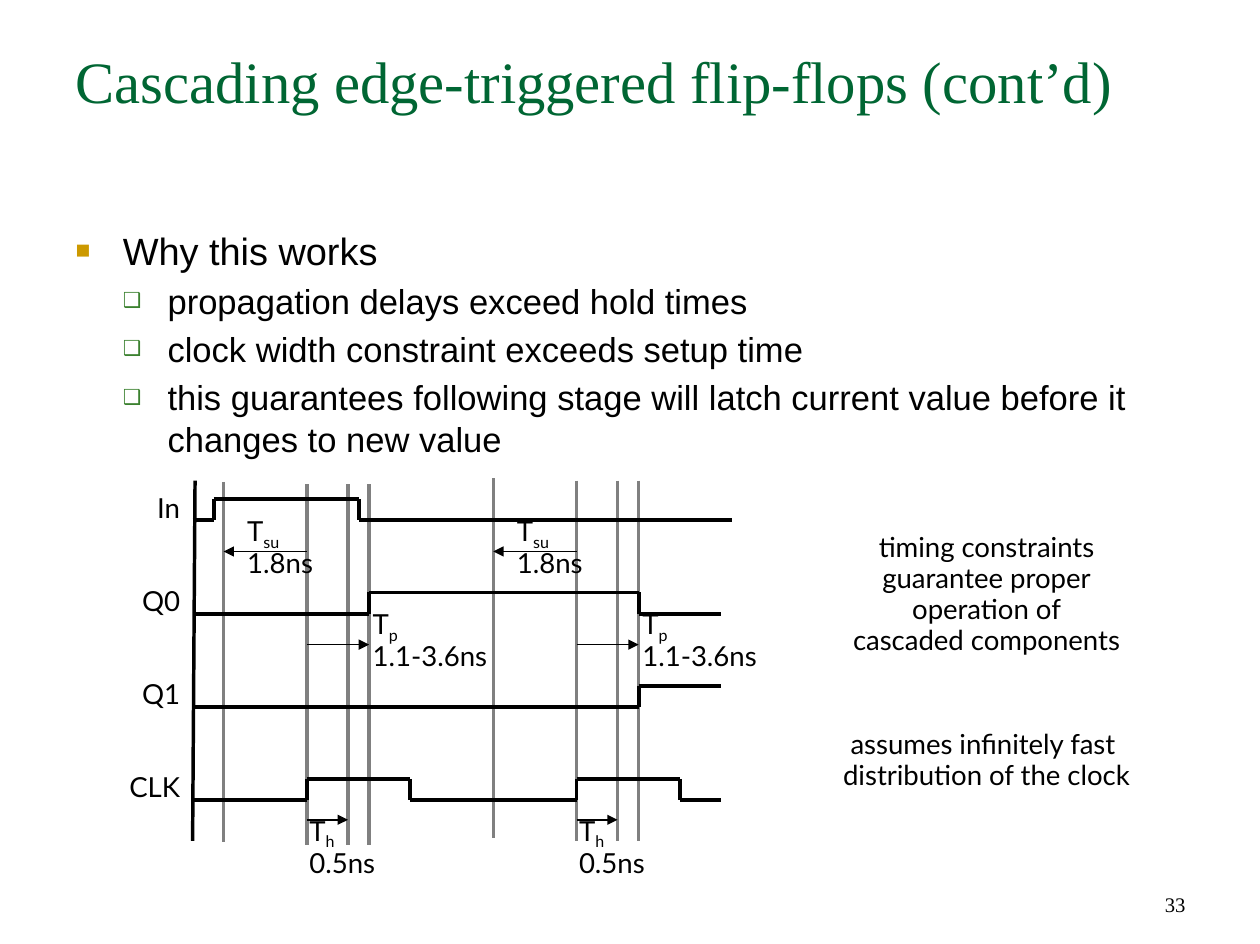
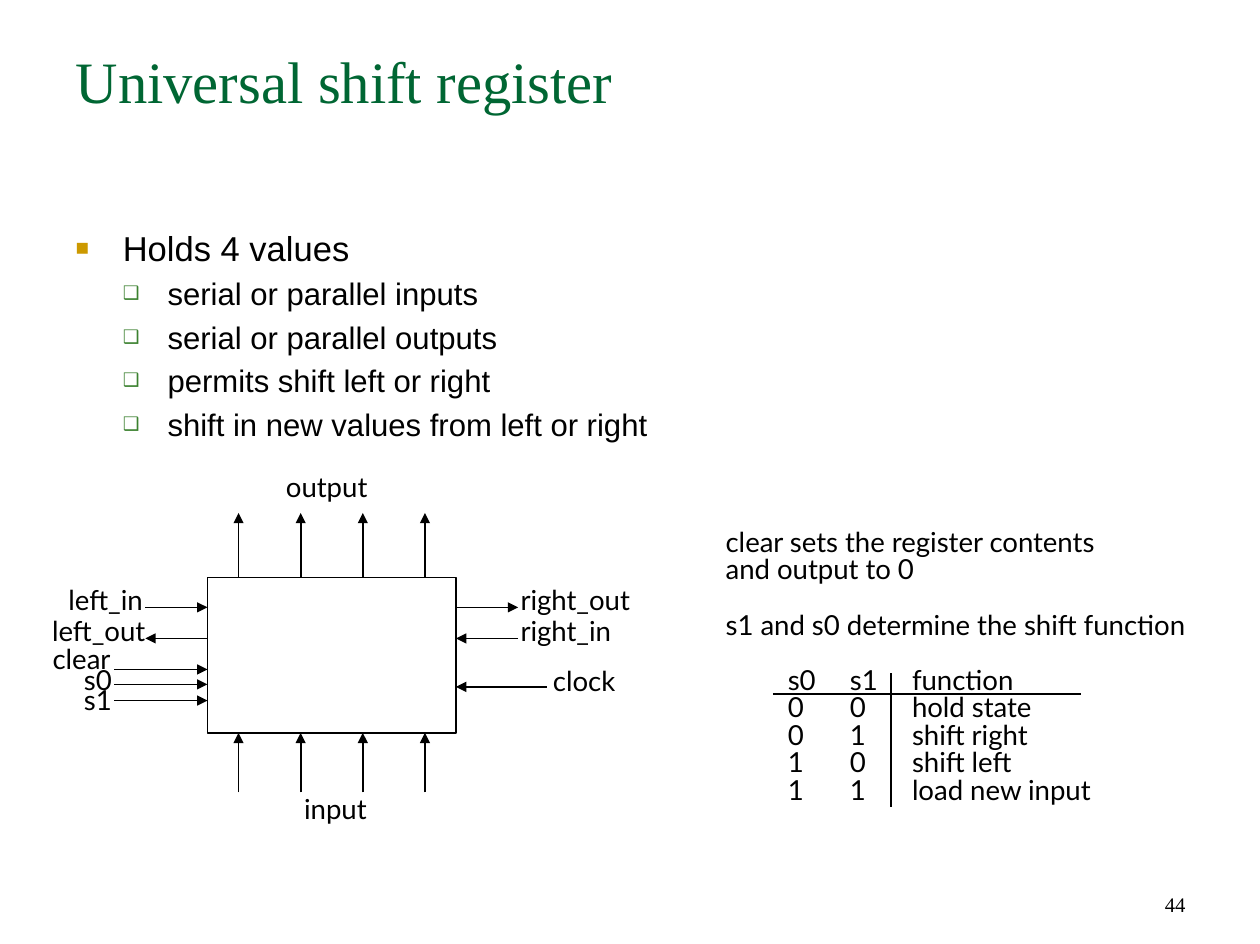
from itertools import pairwise

from lxml import etree
from pptx import Presentation
from pptx.dml.color import RGBColor
from pptx.enum import shapes, text
from pptx.oxml import ns
from pptx.util import Inches, Pt

BLACK, GREEN, GRAY, WHITE = "000000", "006633", "808080", "FFFFFF"
GOLD, LEAF = "CC9900", "3B812F"
SERIF, SANS, LABEL = "Times New Roman", "Arial", "Lato"
LEFT, CENTER, RIGHT = text.PP_ALIGN.LEFT, text.PP_ALIGN.CENTER, text.PP_ALIGN.RIGHT
TOP, BOTTOM = text.MSO_ANCHOR.TOP, text.MSO_ANCHOR.BOTTOM
WIDE_INSETS = (0.1, 0.05)
TIGHT_INSETS = (0.02, 0.03)
NO_STYLE_NO_GRID = "{2D5ABB26-0587-4C30-8999-92F81FD0307C}"


def color(value):
    return RGBColor.from_string(value)


def child(parent, tag, **attributes):
    return etree.SubElement(parent, ns.qn(tag), attributes)


def write(frame, paragraphs, font=LABEL, size=16, ink=BLACK, align=LEFT,
          leading=None, gap=0, anchor=TOP, insets=TIGHT_INSETS):
    frame.word_wrap = True
    frame.auto_size = text.MSO_AUTO_SIZE.NONE
    frame.vertical_anchor = anchor
    frame.margin_left = frame.margin_right = Inches(insets[0])
    frame.margin_top = frame.margin_bottom = Inches(insets[1])
    for index, content in enumerate(paragraphs):
        paragraph = frame.paragraphs[0] if index == 0 else frame.add_paragraph()
        paragraph.alignment = align
        paragraph.space_before = Pt(gap if index else 0)
        if leading:
            paragraph.line_spacing = Pt(leading)
        runs = [(content, 0)] if isinstance(content, str) else content
        for words, baseline in runs:
            run = paragraph.add_run()
            run.text = words
            run.font.name = font
            run.font.size = Pt(size)
            run.font.color.rgb = color(ink)
            if baseline:
                run.font._element.set("baseline", str(baseline * 1000))
    return frame


def add_text(slide, box, paragraphs, **style):
    holder = slide.shapes.add_textbox(*map(Inches, box))
    return write(holder.text_frame, paragraphs, **style)


def add_line(slide, start, end, ink=BLACK, width=1, arrow=False):
    line = slide.shapes.add_connector(
        shapes.MSO_CONNECTOR.STRAIGHT, *map(Inches, (*start, *end)))
    line.line.color.rgb = color(ink)
    line.line.width = Pt(width)
    properties = line._element.spPr
    if arrow:
        child(properties.find(ns.qn("a:ln")), "a:tailEnd", type="triangle")
    child(properties, "a:effectLst")


def add_bullets(slide, box, heading, points, heading_size, point_size):
    frame = add_text(slide, box, [heading, *points], font=SANS, size=point_size,
                     gap=round(point_size * 0.2, 1), insets=WIDE_INSETS)
    frame.paragraphs[0].runs[0].font.size = Pt(heading_size)
    for index, paragraph in enumerate(frame.paragraphs):
        level, indent, hang, ink, scale, mark = (
            (1, 0.74, 0.36, LEAF, 60, "❑") if index
            else (0, 0.38, 0.38, GOLD, 65, "■"))
        paragraph.level = level
        properties = paragraph._p.get_or_add_pPr()
        properties.set("marL", str(Inches(indent)))
        properties.set("indent", str(-Inches(hang)))
        child(child(properties, "a:buClr"), "a:srgbClr", val=ink)
        child(properties, "a:buSzPct", val=str(scale * 1000))
        child(properties, "a:buFont", typeface=SANS)
        child(properties, "a:buChar", char=mark)


def add_base_slide(deck, title, number, heading, points, sizes):
    slide = deck.slides.add_slide(deck.slide_layouts[5])
    holder = slide.shapes.title
    holder.left, holder.top, holder.width, holder.height = map(
        Inches, (0.51, 0.31, 9.12, 1.26))
    write(holder.text_frame, [title], font=SERIF, size=34, ink=GREEN,
          insets=WIDE_INSETS)
    add_bullets(slide, (0.51, 1.78, 9.12, 5.02), heading, points, *sizes)
    add_text(slide, (7.27, 6.92, 2.37, 0.51), [number], font=SERIF, size=12,
             align=RIGHT, anchor=BOTTOM, insets=WIDE_INSETS)
    return slide


def add_wave(slide, left, low, toggles, end):
    levels = (low, low - 0.17)
    points = [(left, low)]
    for index, toggle in enumerate(toggles):
        x = left + toggle
        points += [(x, levels[index % 2]), (x, levels[(index + 1) % 2])]
    points.append((left + end, levels[len(toggles) % 2]))
    for start, stop in pairwise(points):
        add_line(slide, start, stop, width=2.25)


def add_timing_diagram(slide, left, top):
    period, row_pitch, first_low = 2.17, 0.75, 0.34
    setup, edge, hold, settled = 0.25, 0.92, 1.25, 1.42
    signals = {
        "In": ((0.17, 1.34), 4.34),
        "Q0": ((settled, settled + period), 4.25),
        "Q1": ((settled + period,), 4.25),
        "CLK": ((edge, edge + 0.83, edge + period, edge + period + 0.83), 4.25),
    }
    intervals = (
        ("su", "1.8ns", edge, setup, 0.59, setup + 0.17, 0.34),
        ("p", "1.1-3.6ns", edge, settled, 1.34, settled + 0.01, 1.09),
        ("h", "0.5ns", edge, hold, 2.75, edge, 2.75),
    )
    for cycle in range(2):
        for guide in (setup, edge, hold, settled):
            x = left + guide + cycle * period
            y = top + 0.03 * (1 - cycle) + (0 if guide == setup else 0.02)
            add_line(slide, (x, y), (x, y + 2.9), ink=GRAY, width=2)
    add_line(slide, (left, top + 2.92), (left + 0.02, top + 0.02), width=2)
    add_text(slide, (left - 0.98, top - 0.08, 0.9, 2.76), list(signals),
             align=RIGHT, leading=30, gap=24)
    for cycle in range(2):
        x = left + cycle * period
        for mark, duration, start, end, y, label_x, label_y in intervals:
            add_line(slide, (x + start, top + y), (x + end, top + y), arrow=True)
            add_text(slide, (x + label_x, top + label_y, 1.1, 0.51),
                     [[("T", 0), (mark, -25)], duration], leading=16)
    for row, (toggles, end) in enumerate(signals.values()):
        add_wave(slide, left, top + first_low + row * row_pitch, toggles, end)


def add_register(slide, left, top):
    width, height = 2, 1.25
    right = left + width
    body = slide.shapes.add_shape(
        shapes.MSO_SHAPE.RECTANGLE, *map(Inches, (left, top, width, height)))
    body.shadow.inherit = False
    body.fill.solid()
    body.fill.fore_color.rgb = color(WHITE)
    body.line.color.rgb = color(BLACK)
    body.line.width = Pt(1)
    for bit in range(4):
        x = left + 0.25 + 0.5 * bit
        add_line(slide, (x, top), (x, top - 0.52), arrow=True)
        add_line(slide, (x, top + height + 0.48), (x, top + height), arrow=True)
    pins = (
        (left - 0.5, left, 0.24),
        (left, left - 0.5, 0.49),
        (left - 0.75, left, 0.74),
        (left - 0.75, left, 0.86),
        (left - 0.75, left, 0.99),
        (right, right + 0.5, 0.24),
        (right + 0.5, right, 0.49),
        (right + 0.73, right, 0.88),
    )
    for start, end, y in pins:
        add_line(slide, (start, top + y), (end, top + y), arrow=True)
    labels = (
        ("left_in", -1.5, 0.09, RIGHT),
        ("left_out", -1.48, 0.34, RIGHT),
        ("clear", -1.76, 0.56, RIGHT),
        ("s0", -1.75, 0.73, RIGHT),
        ("s1", -1.75, 0.89, RIGHT),
        ("right_out", 2.5, 0.09, LEFT),
        ("right_in", 2.5, 0.34, LEFT),
        ("clock", 2.76, 0.74, LEFT),
        ("output", 0.46, -0.82, CENTER),
        ("input", 0.53, 1.77, CENTER),
    )
    for name, x, y, align in labels:
        add_text(slide, (left + x, top + y, 1, 0.33), [name],
                 align=align, leading=13.9)


def add_function_table(slide, left, top):
    rows = (
        ("s0", "s1", "function"),
        ("0", "0", "hold state"),
        ("0", "1", "shift right"),
        ("1", "0", "shift left"),
        ("1", "1", "load new input"),
    )
    columns = ((0.5, 0.12), (0.45, 0.12), (1.8, 0.17))
    row_height = Pt(16)
    table = slide.shapes.add_table(
        len(rows), len(columns), Inches(left), Inches(top),
        Inches(sum(width for width, _ in columns)), row_height * len(rows)).table
    table.first_row = table.horz_banding = False
    table._tbl.tblPr[0].text = NO_STYLE_NO_GRID
    for column, (width, _) in zip(table.columns, columns):
        column.width = Inches(width)
    for r, values in enumerate(rows):
        table.rows[r].height = row_height
        for c, value in enumerate(values):
            cell = table.cell(r, c)
            write(cell.text_frame, [value], leading=16)
            cell.margin_left = Inches(columns[c][1])
            cell.margin_right = cell.margin_top = cell.margin_bottom = 0
            cell.vertical_anchor = TOP
            cell.fill.background()
    add_line(slide, (left, top + 0.21), (left + 2.48, top + 0.21))
    add_line(slide, (left + 0.95, top + 0.04), (left + 0.95, top + 1.12))


def build_flip_flops(deck):
    slide = add_base_slide(
        deck, "Cascading edge-triggered flip-flops (cont’d)", "33",
        "Why this works",
        ["propagation delays exceed hold times",
         "clock width constraint exceeds setup time",
         "this guarantees following stage will latch current value before it "
         "changes to new value"],
        (22, 20))
    add_timing_diagram(slide, 1.55, 3.85)
    add_text(slide, (6.5, 4.25, 2.88, 1.14),
             ["timing constraints", "guarantee proper", "operation of",
              "cascaded components"], align=CENTER, leading=18)
    add_text(slide, (6.5, 5.84, 2.88, 0.82),
             ["assumes infinitely fast ", "distribution of the clock"],
             align=CENTER, leading=18)


def build_shift_register(deck):
    slide = add_base_slide(
        deck, "Universal shift register", "44", "Holds 4 values",
        ["serial or parallel inputs", "serial or parallel outputs",
         "permits shift left or right",
         "shift in new values from left or right"],
        (20, 18))
    add_register(slide, 1.67, 4.65)
    add_text(slide, (5.82, 4.24, 4.26, 0.6),
             ["clear sets the register contents", "and output to 0"], leading=16)
    add_text(slide, (5.82, 4.91, 4.26, 0.3),
             ["s1 and s0 determine the shift function"], leading=16)
    add_function_table(slide, 6.22, 5.38)


def main():
    deck = Presentation()
    deck.slide_width, deck.slide_height = Inches(10.14), Inches(7.6)
    build_flip_flops(deck)
    build_shift_register(deck)
    deck.save("out.pptx")


if __name__ == "__main__":
    main()
